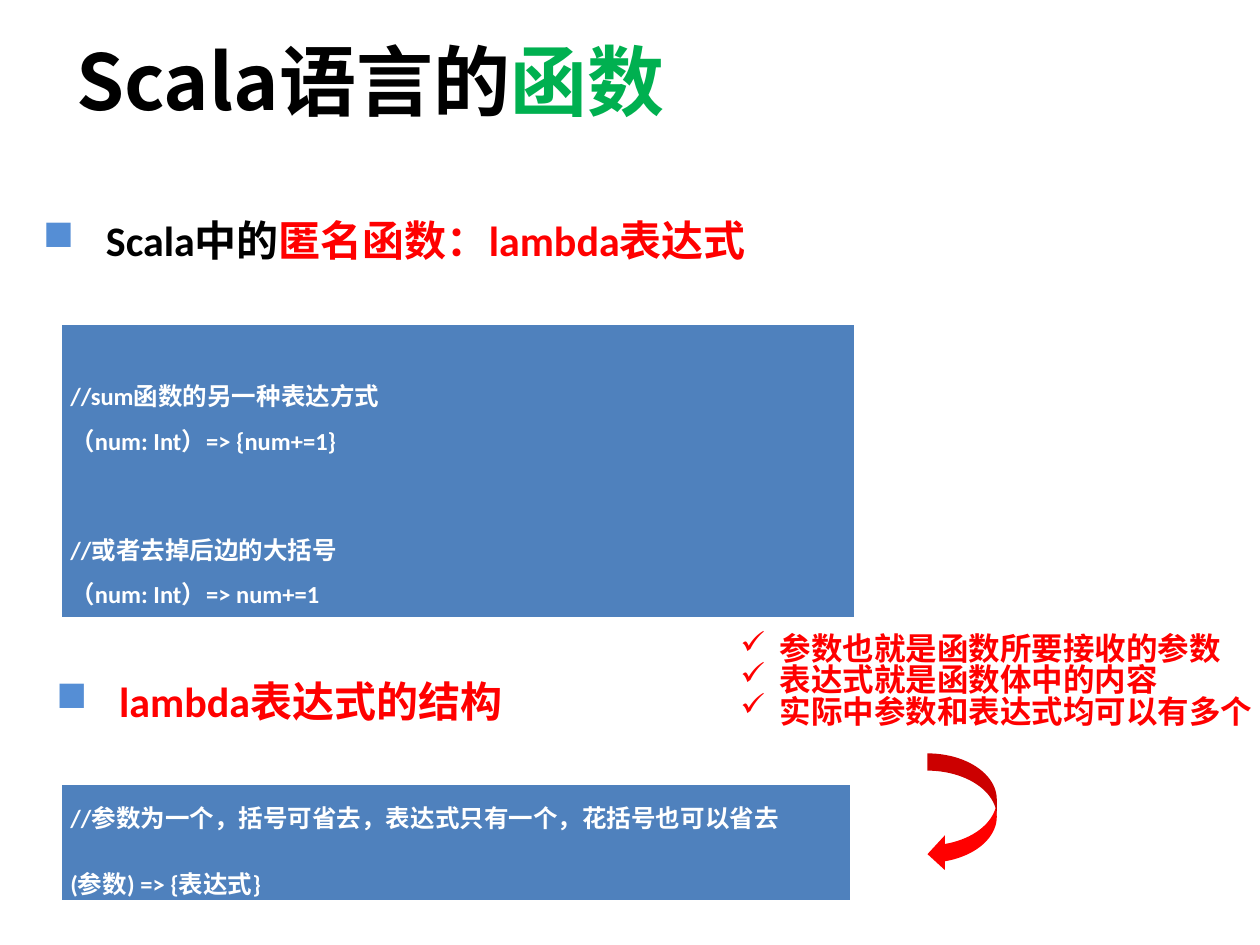
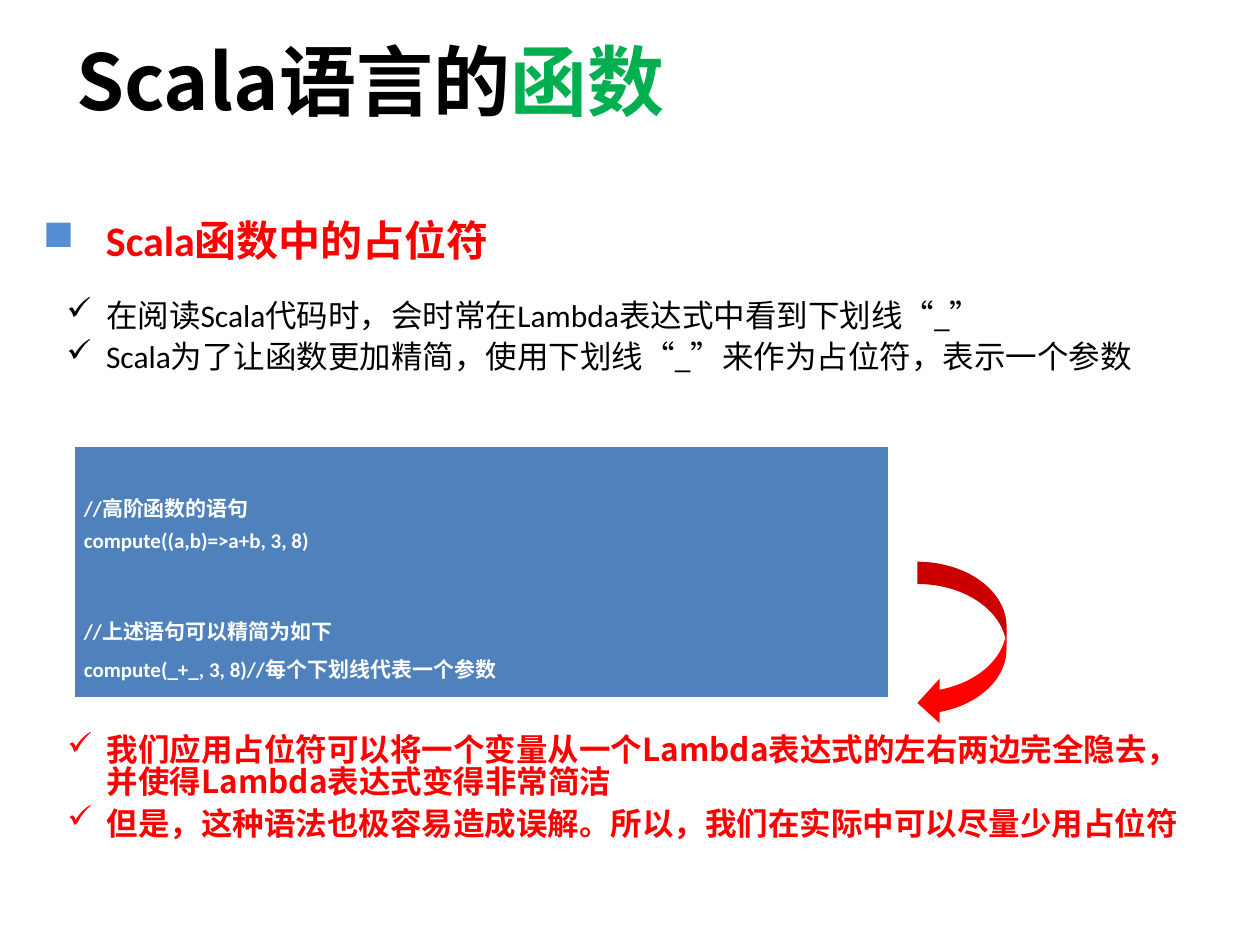
from dataclasses import dataclass

from lxml import etree
from pptx import Presentation
from pptx import util as u
from pptx.dml.color import RGBColor
from pptx.enum import shapes, text
from pptx.oxml import ns


@dataclass(frozen=True)
class Theme:
    black: str = "000000"
    white: str = "FFFFFF"
    red: str = "FF0000"
    green: str = "00B050"
    square: str = "558ED5"
    code_fill: str = "4F81BD"
    latin: str = "Calibri"
    cjk: str = "Noto Sans CJK SC"
    serif: str = "Times New Roman"
    title_size: int = 44
    heading_size: int = 24
    point_size: int = 18
    code_size: int = 14
    small_code_size: int = 12


theme = Theme()
Pt = u.Pt


def add_tag(parent, tag, **attributes):
    return etree.SubElement(parent, ns.qn(tag), attributes)


def write(frame, lines, size, font, bold=True, bullet=None, indent=0, **spacing):
    frame.word_wrap = True
    for number, (runs, extra) in enumerate(lines):
        line = frame.paragraphs[0] if number == 0 else frame.add_paragraph()
        for name, value in {**spacing, **extra}.items():
            setattr(line, name, value)
        if bullet:
            mark, mark_color = bullet
            properties = line._p.get_or_add_pPr()
            properties.set("marL", str(Pt(indent)))
            properties.set("indent", str(-Pt(indent)))
            add_tag(add_tag(properties, "a:buClr"), "a:srgbClr", val=mark_color)
            add_tag(properties, "a:buChar", char=mark)
        for words, color in runs:
            run = line.add_run()
            run.text = words
            for name, value in {"size": Pt(size), "name": font, "bold": bold}.items():
                setattr(run.font, name, value)
            run.font.color.rgb = RGBColor.from_string(color)
            add_tag(run._r.get_or_add_rPr(), "a:ea", typeface=theme.cjk)


title = [("Scala语言的", theme.black), ("函数", theme.green)]

lambda_page = {
    "headings": [
        ((17.5, 122.5, 668), [("Scala中的", theme.black), ("匿名函数：lambda表达式", theme.red)]),
        ((25, 386, 436), [("lambda表达式的结构", theme.red)]),
    ],
    "codes": [
        ((34.8, 185.5, 453.5, 168), theme.code_size, True, 0, [
            ("//sum函数的另一种表达方式", 0),
            ("（num: Int）=> {num+=1}", 0),
            ("//或者去掉后边的大括号", 36.6),
            ("（num: Int）=> num+=1", 0),
        ]),
        ((34.8, 448, 451, 67), theme.code_size, False, 12, [
            ("//参数为一个，括号可省去，表达式只有一个，花括号也可以省去", 0),
            ("(参数) => {表达式}", 0),
        ]),
    ],
    "points": [
        ((416, 359.5, 318, 72), theme.serif, theme.red, True, 0, [
            "参数也就是函数所要接收的参数",
            "表达式就是函数体中的内容",
            "实际中参数和表达式均可以有多个",
        ]),
    ],
    "arrow": (530, 430.5, 39.6, 67.5),
}

placeholder_page = {
    "headings": [((17.5, 122.5, 668), [("Scala函数中的占位符", theme.red)])],
    "codes": [
        ((42.6, 255, 465, 144), theme.small_code_size, True, 0, [
            ("//高阶函数的语句", 0),
            ("compute((a,b)=>a+b, 3, 8)", 0),
            ("//上述语句可以精简为如下", 30.5),
            ("compute(_+_, 3, 8)//每个下划线代表一个参数", 0),
        ]),
    ],
    "points": [
        ((31, 169, 654, 57), theme.latin, theme.black, False, 6, [
            "在阅读Scala代码时，会时常在Lambda表达式中看到下划线“_”",
            "Scala为了让函数更加精简，使用下划线“_”来作为占位符，表示一个参数",
        ]),
        ((31.5, 417.5, 654, 78.5), theme.cjk, theme.red, True, 6, [
            "我们应用占位符可以将一个变量从一个Lambda表达式的左右两边完全隐去，并使得Lambda表达式变得非常简洁",
            "但是，这种语法也极容易造成误解。所以，我们在实际中可以尽量少用占位符",
        ]),
    ],
    "arrow": (524.2, 321, 51, 93.5),
}

deck = Presentation()
deck.slide_width, deck.slide_height = Pt(720), Pt(540)

for page in (lambda_page, placeholder_page):
    slide = deck.slides.add_slide(deck.slide_layouts[6])
    title_box = slide.shapes.add_textbox(Pt(36.5), Pt(21.6), Pt(648), Pt(90))
    write(title_box.text_frame, [(title, {})], theme.title_size, theme.cjk, line_spacing=0.9)

    for (left, top, width), runs in page["headings"]:
        heading = slide.shapes.add_textbox(Pt(left), Pt(top), Pt(width), Pt(36))
        write(heading.text_frame, [(runs, {})], theme.heading_size, theme.latin,
              bullet=("■", theme.square), indent=36, line_spacing=0.9)

    for place, size, lead, gap, code_lines in page["codes"]:
        code = slide.shapes.add_table(1, 1, *map(Pt, place)).table
        cell = code.cell(0, 0)
        for name, value in {
            "margin_left": 5.4,
            "margin_right": 5.4,
            "margin_top": 3.6 + (1.525 * size if lead else 0),
            "margin_bottom": 0,
        }.items():
            setattr(cell, name, Pt(value))
        borders = cell._tc.get_or_add_tcPr()
        for side, weight in {"L": 0.45, "R": 0.45, "T": 0.45, "B": 1.47}.items():
            border = add_tag(borders, f"a:ln{side}", w=str(Pt(weight)))
            add_tag(add_tag(border, "a:solidFill"), "a:srgbClr", val=theme.white)
        cell.fill.solid()
        cell.fill.fore_color.rgb = RGBColor.from_string(theme.code_fill)
        lines = [([(words, theme.white)], {"space_before": Pt(before + (gap if number else 0))})
                 for number, (words, before) in enumerate(code_lines)]
        write(cell.text_frame, lines, size, theme.latin,
              line_spacing=1.25, alignment=text.PP_ALIGN.JUSTIFY)

    for place, font, color, bold, before, sentences in page["points"]:
        points = slide.shapes.add_textbox(*map(Pt, place))
        lines = [([(sentence, color)], {"space_before": Pt(before if number else 0)})
                 for number, sentence in enumerate(sentences)]
        write(points.text_frame, lines, theme.point_size, font, bold,
              bullet=("✓", color), indent=22.5, line_spacing=0.83)

    arrow = slide.shapes.add_shape(shapes.MSO_SHAPE.CURVED_LEFT_ARROW, *map(Pt, page["arrow"]))
    arrow.shadow.inherit = False
    arrow.fill.solid()
    arrow.fill.fore_color.rgb = RGBColor.from_string(theme.red)
    arrow.line.fill.background()

deck.save("out.pptx")
